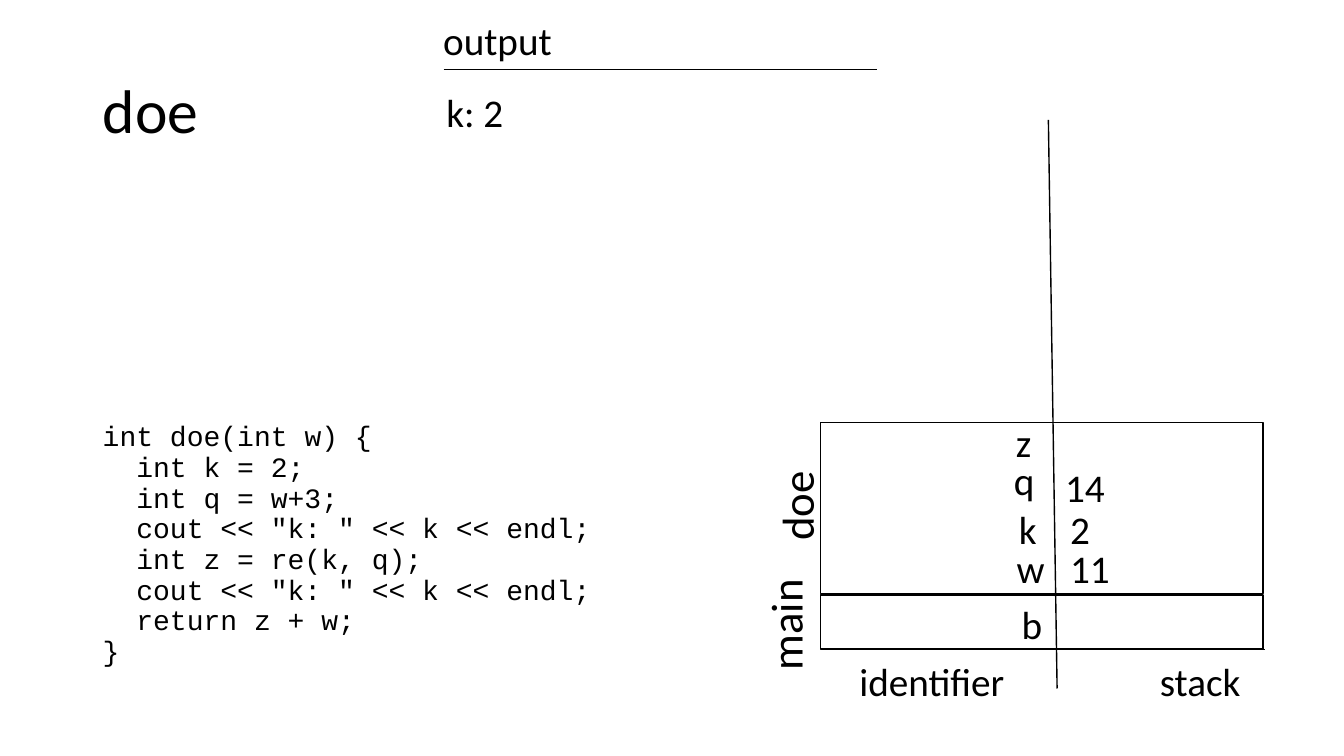
from collections import namedtuple
from dataclasses import dataclass

from lxml.etree import SubElement
from pptx import Presentation
from pptx.dml.color import RGBColor
from pptx.enum.shapes import MSO_CONNECTOR, MSO_SHAPE
from pptx.enum.text import MSO_ANCHOR, MSO_AUTO_SIZE, PP_ALIGN
from pptx.oxml.ns import qn
from pptx.util import Cm, Pt

Box = namedtuple("Box", "x y w h")


@dataclass(frozen=True)
class Theme:
    ink: RGBColor = RGBColor(0, 0, 0)
    font: str = "Calibri"
    code_font: str = "Courier New"
    title: int = 44
    frame: int = 32
    label: int = 28
    code: int = 20
    code_pitch: float = 21.9
    line: int = 1


THEME = Theme()
LABEL_H = 1.45
FRAME_LABEL_H = 1.63
CODE = [  # indent level, statement
    (0, "int doe(int w) {"),
    (1, "int k = 2;"),
    (1, "int q = w+3;"),
    (1, 'cout << "k: " << k << endl;'),
    (1, "int z = re(k, q);"),
    (1, 'cout << "k: " << k << endl;'),
    (1, "return z + w;"),
    (0, "}"),
]
STACK_LABELS = [  # text, x, y, width within the stack
    ("z", 4.67, -0.23, 0.91),
    ("q", 4.62, 0.74, 1.04),
    ("k", 4.75, 1.96, 0.97),
    ("w", 4.69, 2.95, 1.22),
    ("b", 4.82, 4.35, 1.04),
    ("14", 5.91, 0.92, 1.52),
    ("2", 6.04, 1.98, 1.02),
    ("11", 6.04, 2.95, 1.52),
    ("identifier", 0.73, 5.79, 4.22),
    ("stack", 8.3, 5.79, 2.57),
]
FRAMES = [  # name, top, height, then x, y, width of the rotated name
    ("doe", 0, 4.32, -1.86, 1.17, 2.51),
    ("main", 4.35, 1.37, -2.34, 4.24, 2.9),
]


def write(p, text, size=THEME.label, font=THEME.font):
    r = p.add_run()
    r.text = text
    r.font.name, r.font.size = font, Pt(size)
    r.font.color.rgb = THEME.ink


def add_text(s, text, box, wrap=False, rotation=0, **fmt):
    sp = s.shapes.add_textbox(*map(Cm, box))
    sp.rotation = rotation
    tf = sp.text_frame
    tf.word_wrap = wrap
    tf.auto_size = MSO_AUTO_SIZE.SHAPE_TO_FIT_TEXT
    write(tf.paragraphs[0], text, **fmt)


def add_line(s, x1, y1, x2, y2):
    line = s.shapes.add_connector(MSO_CONNECTOR.STRAIGHT, *map(Cm, (x1, y1, x2, y2)))
    line.line.color.rgb, line.line.width = THEME.ink, Pt(THEME.line)
    SubElement(line._element.spPr, qn("a:effectLst"))


def add_title(s, text, box):
    sp = s.shapes.title
    sp.left, sp.top, sp.width, sp.height = map(Cm, box)
    tf = sp.text_frame
    tf.auto_size = MSO_AUTO_SIZE.NONE
    tf.vertical_anchor = MSO_ANCHOR.MIDDLE
    p = tf.paragraphs[0]
    p.alignment, p.line_spacing = PP_ALIGN.LEFT, 0.9
    write(p, text, size=THEME.title)


def add_code(s, lines, box):
    tf = s.shapes.add_textbox(*map(Cm, box)).text_frame
    tf.word_wrap = True
    for i, (level, text) in enumerate(lines):
        p = tf.add_paragraph() if i else tf.paragraphs[0]
        p.line_spacing = Pt(THEME.code_pitch)
        # Two monospaced characters, each 0.6 of the type size
        p._p.get_or_add_pPr().set("marL", str(Pt(level * 1.2 * THEME.code)))
        write(p, text, size=THEME.code, font=THEME.code_font)


def add_output(s, box):
    add_text(s, "output", Box(box.x - 0.26, box.y, 3.28, LABEL_H))
    rule_y = box.y + 1.47
    add_line(s, box.x, rule_y, box.x + box.w, rule_y)
    add_text(s, "k: 2", Box(box.x - 0.18, box.y + 1.83, 1.98, LABEL_H))


def add_stack(s, box):
    """Draw the call frames, their variables and the column divider."""
    for name, top, height, x, y, w in FRAMES:
        sp = s.shapes.add_shape(MSO_SHAPE.RECTANGLE, Cm(box.x), Cm(box.y + top),
                                Cm(box.w), Cm(height))
        sp.shadow.inherit = False
        sp.fill.background()
        sp.line.color.rgb, sp.line.width = THEME.ink, Pt(THEME.line)
        add_text(s, name, Box(box.x + x, box.y + y, w, FRAME_LABEL_H),
                 wrap=True, rotation=270, size=THEME.frame)
    for text, x, y, w in STACK_LABELS:
        add_text(s, text, Box(box.x + x, box.y + y, w, LABEL_H))
    bottom = box.y + box.h
    add_line(s, box.x + 0.28, bottom, box.x + box.w + 0.05, bottom)
    add_line(s, box.x + 5.96, bottom + 0.99, box.x + 5.74, box.y - 7.62)


def main():
    prs = Presentation()
    prs.slide_width, prs.slide_height = Cm(33.87), Cm(19.05)
    s = prs.slides.add_slide(prs.slide_layouts[5])
    add_title(s, "doe", Box(2.34, 1.02, 29.21, 3.68))
    add_code(s, CODE, Box(2.34, 10.5, 12.88, 6.67))
    add_output(s, Box(11.18, 0.28, 10.92, 3.28))
    add_stack(s, Box(20.68, 10.64, 11.15, 5.72))
    prs.save("out.pptx")


if __name__ == "__main__":
    main()
